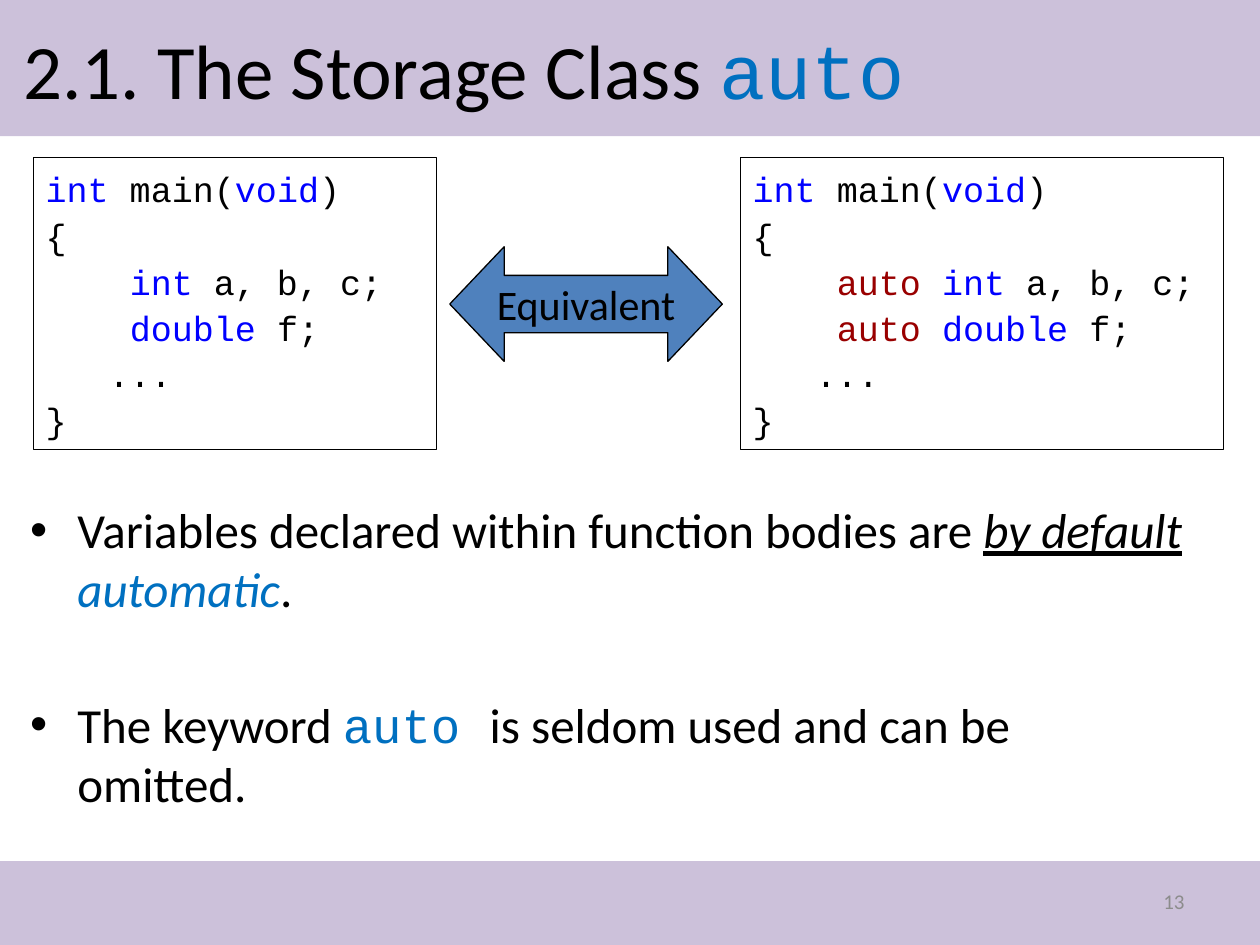
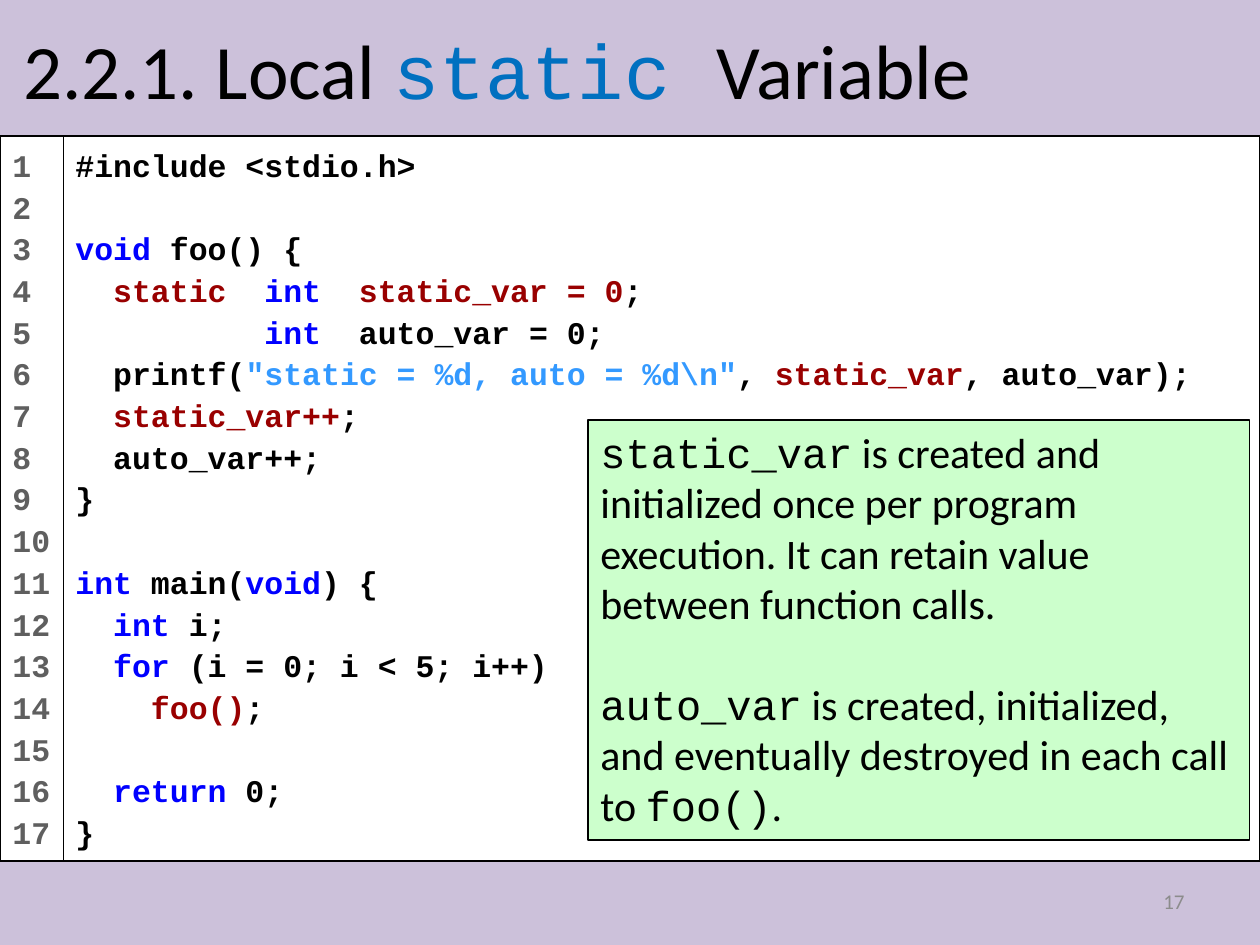
from dataclasses import dataclass
from typing import NamedTuple, Optional

from pptx import Presentation
from pptx.dml.color import RGBColor
from pptx.enum.shapes import MSO_SHAPE
from pptx.enum.text import MSO_ANCHOR, MSO_AUTO_SIZE, PP_ALIGN
from pptx.util import Pt

RECTANGLE = MSO_SHAPE.RECTANGLE
DOUBLE_ARROW = MSO_SHAPE.LEFT_RIGHT_ARROW
TOP, MIDDLE = MSO_ANCHOR.TOP, MSO_ANCHOR.MIDDLE
LEFT, CENTER, RIGHT = PP_ALIGN.LEFT, PP_ALIGN.CENTER, PP_ALIGN.RIGHT
NO_AUTOFIT = MSO_AUTO_SIZE.NONE

BLACK = RGBColor(0x00, 0x00, 0x00)
WHITE = RGBColor(0xFF, 0xFF, 0xFF)
LILAC = RGBColor(0xCC, 0xC1, 0xDA)
ACCENT = RGBColor(0x00, 0x70, 0xC0)
KEYWORD = RGBColor(0x00, 0x00, 0xFF)
STORAGE = RGBColor(0x99, 0x00, 0x00)
LITERAL = RGBColor(0x33, 0x99, 0xFF)
ARROW_BLUE = RGBColor(0x4F, 0x81, 0xBD)
MINT = RGBColor(0xCC, 0xFF, 0xCC)
LINE_NUMBER_GREY = RGBColor(0x5F, 0x5F, 0x5F)
PAGE_GREY = RGBColor(0x8C, 0x8C, 0x8C)

SANS, MONO = "Calibri", "Courier New"
SLIDE_WIDTH, SLIDE_HEIGHT = 720, 540
HEADER_HEIGHT, FOOTER_TOP = 77.76, 492
CODE_LEADING = 1.32


class Box(NamedTuple):
    left: float
    top: float
    width: float
    height: float


class Span(NamedTuple):
    text: str
    color: Optional[RGBColor] = None
    font: Optional[str] = None
    italic: bool = False
    underline: bool = False


Lines = list[list[Span]]


@dataclass(frozen=True)
class TextStyle:
    size: float
    font: str = SANS
    color: RGBColor = BLACK
    bold: bool = False
    align: PP_ALIGN = LEFT
    pitch: Optional[float] = None
    space_before: float = 0
    blank_gap: float = 0


def code_style(size: float, color: RGBColor = BLACK, bold: bool = False) -> TextStyle:
    pitch = round(size * CODE_LEADING, 1)
    return TextStyle(size, MONO, color, bold, pitch=pitch, blank_gap=pitch)


TITLE = TextStyle(44)
BULLETS = TextStyle(28, space_before=5.6, blank_gap=38.4)
CALLOUT = TextStyle(24, blank_gap=28.8)
ARROW_LABEL = TextStyle(24, align=CENTER)
PAGE_NUMBER = TextStyle(12, color=PAGE_GREY, align=RIGHT)
SNIPPET = code_style(20)
LISTING = code_style(18, bold=True)
LINE_NUMBERS = code_style(18, LINE_NUMBER_GREY, True)


def keyword(text: str) -> Span:
    return Span(text, KEYWORD)


def storage(text: str) -> Span:
    return Span(text, STORAGE)


def mono(text: str, color: Optional[RGBColor] = None) -> Span:
    return Span(text, color, MONO)


def write(frame, lines: Lines, style: TextStyle) -> None:
    paragraph, gap = frame.paragraphs[0], 0
    started = False
    for line in lines:
        if not line:
            gap += style.blank_gap
            continue
        if started:
            paragraph = frame.add_paragraph()
        started = True
        paragraph.alignment = style.align
        paragraph.space_before = Pt(style.space_before + gap)
        gap = 0
        if style.pitch:
            paragraph.line_spacing = Pt(style.pitch)
        for span in line:
            run = paragraph.add_run()
            run.text = span.text
            run.font.name = span.font or style.font
            run.font.size = Pt(style.size)
            run.font.bold = style.bold
            run.font.italic = span.italic
            run.font.underline = span.underline
            run.font.color.rgb = span.color or style.color


def place(item, box: Box) -> None:
    item.left, item.top, item.width, item.height = map(Pt, box)


def add_panel(slide, box: Box, fill: RGBColor, lines: Lines, style: TextStyle,
              kind: MSO_SHAPE = RECTANGLE, anchor: MSO_ANCHOR = TOP):
    panel = slide.shapes.add_shape(kind, *map(Pt, box))
    panel.shadow.inherit = False
    panel.fill.solid()
    panel.fill.fore_color.rgb = fill
    panel.line.color.rgb = BLACK
    panel.line.width = Pt(0.75)
    frame = panel.text_frame
    frame.word_wrap = True
    frame.vertical_anchor = anchor
    write(frame, lines, style)
    return panel


def add_bands(slide, master) -> None:
    bands = [Box(0, 0, SLIDE_WIDTH, HEADER_HEIGHT),
             Box(0, FOOTER_TOP, SLIDE_WIDTH, SLIDE_HEIGHT - FOOTER_TOP)]
    for index, box in enumerate(bands):
        band = slide.shapes.add_shape(RECTANGLE, *map(Pt, box))
        band.shadow.inherit = False
        band.fill.solid()
        band.fill.fore_color.rgb = LILAC
        band.line.fill.background()
        band.element.nvSpPr.cNvPr.set("id", str(100 + index))
        master.shapes.element.insert(2 + index, band.element)


def add_slide(prs, layout: int, title: list[Span], page: int):
    slide = prs.slides.add_slide(prs.slide_layouts[layout])
    heading = slide.shapes.title
    place(heading, Box(6, 6, 648, 66))
    heading.text_frame.auto_size = NO_AUTOFIT
    heading.text_frame.vertical_anchor = MIDDLE
    write(heading.text_frame, [title], TITLE)
    number = slide.shapes.add_textbox(*map(Pt, Box(516, 500.5, 168, 28.75)))
    number.text_frame.word_wrap = True
    number.text_frame.vertical_anchor = MIDDLE
    write(number.text_frame, [[Span(str(page))]], PAGE_NUMBER)
    return slide


def snippet(prefix: list[Span]) -> Lines:
    return [
        [keyword("int"), Span(" main("), keyword("void"), Span(")")],
        [Span("{")],
        [Span("    "), *prefix, keyword("int"), Span(" a, b, c;")],
        [Span("    "), *prefix, keyword("double "), Span("f;")],
        [Span("   ...")],
        [Span("}")],
    ]


PROGRAM: Lines = [
    [Span("#include <stdio.h>")],
    [],
    [keyword("void "), Span("foo() {")],
    [Span("  "), storage("static  "), keyword("int  "),
     storage("static_var = 0"), Span(";")],
    [keyword("          int  "), Span("auto_var = 0;")],
    [Span("  printf("), Span('"static = %d, auto = %d\\n"', LITERAL), Span(", "),
     storage("static_var"), Span(", auto_var);")],
    [storage("  static_var++"), Span(";")],
    [Span("  auto_var++;")],
    [Span("}")],
    [],
    [keyword("int"), Span(" main("), keyword("void"), Span(") {")],
    [Span("  "), keyword("int "), Span("i;")],
    [Span("  "), keyword("for"), Span(" (i = 0; i < 5; i++)")],
    [Span("    "), storage("foo()"), Span(";")],
    [],
    [Span("  "), keyword("return"), Span(" 0;")],
    [Span("}")],
]

AUTO_BULLETS: Lines = [
    [Span("Variables declared within function bodies are "),
     Span("by default", italic=True, underline=True), Span(" "),
     Span("automatic", ACCENT, italic=True), Span(".")],
    [],
    [Span("The keyword "), mono("auto ", ACCENT),
     Span("is seldom used and can be omitted.")],
]

LIFETIME_NOTE: Lines = [
    [mono("static_var"), Span(" is created and initialized once per program execution. "
                              "It can retain value between function calls.")],
    [],
    [mono("auto_var"), Span(" is created, initialized, and eventually destroyed "
                            "in each call to "), mono("foo()"), Span(".")],
]


def build_auto_slide(prs):
    slide = add_slide(prs, 1, [Span("2.1. The Storage Class "), mono("auto", ACCENT)], 13)
    body = slide.placeholders[1]
    place(body, Box(10, 282, 674, 192))
    body.text_frame.auto_size = NO_AUTOFIT
    write(body.text_frame, AUTO_BULLETS, BULLETS)
    add_panel(slide, Box(19, 90, 230.5, 167), WHITE, snippet([]), SNIPPET)
    add_panel(slide, Box(423, 90, 276, 167), WHITE, snippet([storage("auto ")]), SNIPPET)
    arrow = add_panel(slide, Box(257, 141, 155.75, 65.5), ARROW_BLUE,
                      [[Span("Equivalent")]], ARROW_LABEL, DOUBLE_ARROW, MIDDLE)
    arrow.adjustments[0] = 0.5
    arrow.adjustments[1] = 0.475
    arrow.text_frame.word_wrap = False
    return slide


def build_static_slide(prs) -> None:
    slide = add_slide(prs, 5, [Span("2.2.1. Local "), mono("static ", ACCENT),
                               Span("Variable")], 17)
    listing_height = FOOTER_TOP - HEADER_HEIGHT
    add_panel(slide, Box(36, HEADER_HEIGHT, SLIDE_WIDTH - 36, listing_height),
              WHITE, PROGRAM, LISTING)
    numbers = [[Span(str(n))] for n in range(1, len(PROGRAM) + 1)]
    gutter = add_panel(slide, Box(0, HEADER_HEIGHT, 36.5, listing_height),
                       WHITE, numbers, LINE_NUMBERS)
    gutter.text_frame.margin_right = 0
    add_panel(slide, Box(336, 240, 378, 240), MINT, LIFETIME_NOTE, CALLOUT)


def main() -> None:
    prs = Presentation()
    prs.slide_width, prs.slide_height = Pt(SLIDE_WIDTH), Pt(SLIDE_HEIGHT)
    auto_slide = build_auto_slide(prs)
    add_bands(auto_slide, prs.slide_master)
    build_static_slide(prs)
    prs.save("out.pptx")


if __name__ == "__main__":
    main()
